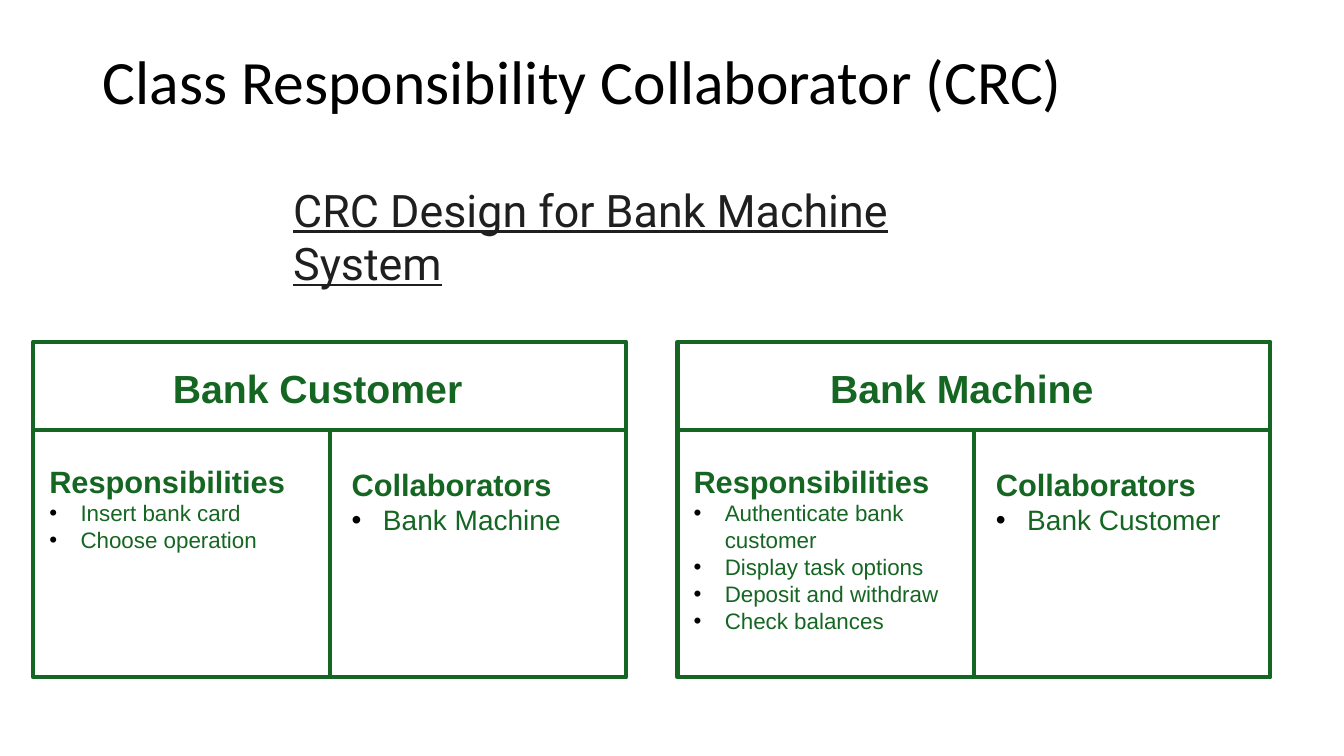
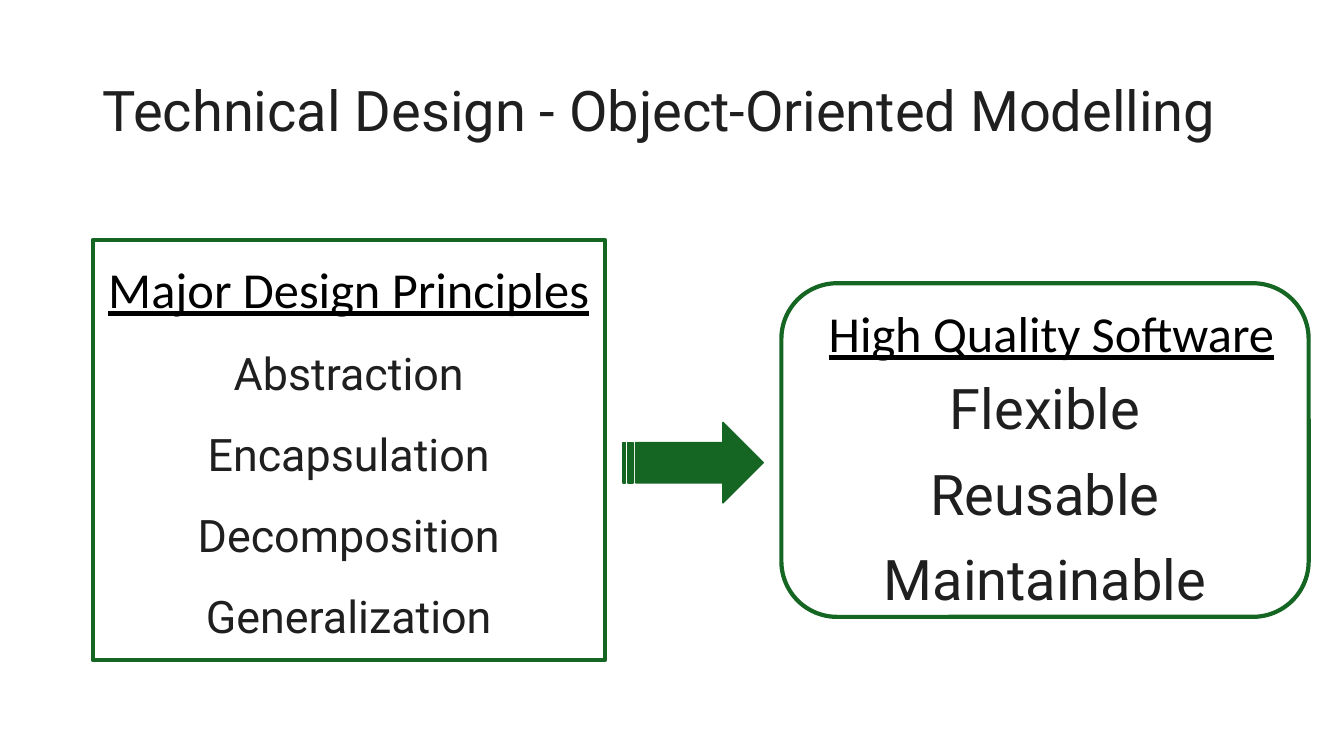
from collections import namedtuple
from lxml.etree import SubElement
from pptx import Presentation
from pptx.dml.color import RGBColor
from pptx.enum.shapes import MSO_CONNECTOR, MSO_SHAPE
from pptx.enum.text import MSO_ANCHOR, PP_ALIGN
from pptx.oxml.ns import qn
from pptx.util import Inches, Pt

Style = namedtuple(
    "Style",
    "face size color bold line align before spacing bullet",
    defaults=(False, False, PP_ALIGN.LEFT, 0, 1, False),
)


class Theme:
    green = RGBColor(0x16, 0x66, 0x23)
    black = RGBColor(0, 0, 0)
    ink = RGBColor(0x1F, 0x1F, 0x1F)
    stroke = Pt(3)
    mid = PP_ALIGN.CENTER
    title = Style("Calibri", 44, black, spacing=0.9)
    topic = Style("Roboto", 40, ink, spacing=0.9)
    sub = Style("Roboto", 32, ink, line=True)
    name = Style("Arial", 28, green, bold=True, align=mid)
    head = Style("Arial", 22, green, bold=True)
    duty = Style("Arial", 16, green, bullet=True)
    peer = Style("Arial", 20, green, bullet=True)
    label = Style("Calibri", 36, black, line=True)
    point = Style("Roboto", 32, ink, align=mid, before=19.5)
    goal = Style("Roboto", 40, ink, align=mid, before=13)


def write(shape, rows, anchor=MSO_ANCHOR.TOP):
    frame = shape.text_frame
    frame.word_wrap = True
    frame.vertical_anchor = anchor
    for i, (text, style) in enumerate(rows):
        para = frame.add_paragraph() if i else frame.paragraphs[0]
        para.text = text
        if style.bullet:
            props = para._p.get_or_add_pPr()
            props.set("marL", str(Inches(0.31)))
            props.set("indent", str(-Inches(0.31)))
            tint = SubElement(props, qn("a:buClr"))
            SubElement(tint, qn("a:srgbClr"), val=str(Theme.black))
            SubElement(props, qn("a:buFont"), typeface="Arial")
            SubElement(props, qn("a:buChar"), char="•")
        para.alignment = style.align
        para.line_spacing = style.spacing
        if i and style.before:
            para.space_before = Pt(style.before)
        font = para.font
        font.name = style.face
        font.size = Pt(style.size)
        font.color.rgb = style.color
        font.bold = style.bold
        font.underline = style.line


def draw(slide, kind, *spot):
    shape = slide.shapes.add_shape(kind, *map(Inches, spot))
    shape.shadow.inherit = False
    shape.fill.background()
    shape.line.color.rgb = Theme.green
    shape.line.width = Theme.stroke
    return shape


deck = Presentation()
deck.slide_width = Inches(13.33)
deck.slide_height = Inches(7.5)
blank = deck.slide_layouts[6]
cards, model = [deck.slides.add_slide(blank) for _ in range(2)]

titles = [
    (cards, 0.88, "Class Responsibility Collaborator (CRC)", Theme.title),
    (model, 1.45, "Technical Design - Object-Oriented Modelling", Theme.topic),
]
for slide, height, text, style in titles:
    box = slide.shapes.add_textbox(
        Inches(0.92), Inches(0.4), Inches(11.5), Inches(height)
    )
    write(box, [(text, style)], MSO_ANCHOR.MIDDLE)

box = cards.shapes.add_textbox(Inches(2.81), Inches(1.76), Inches(7.36), Inches(0.64))
write(box, [("CRC Design for Bank Machine System", Theme.sub)])

roles = [
    ("Bank Customer", ["Insert bank card", "Choose operation"], "Bank Machine"),
    (
        "Bank Machine",
        [
            "Authenticate bank customer",
            "Display task options",
            "Deposit and withdraw",
            "Check balances",
        ],
        "Bank Customer",
    ),
]
top, width, height, pitch = 3.39, 5.88, 3.33, 6.39
rule, base = top + 0.88, top + height
for i, (name, duties, peer) in enumerate(roles):
    left = 0.33 + i * pitch
    middle, right = left + width / 2, left + width
    draw(cards, MSO_SHAPE.RECTANGLE, left, top, width, height)
    for ends in [(left, rule, right, rule), (middle, rule, middle, base)]:
        line = cards.shapes.add_connector(MSO_CONNECTOR.STRAIGHT, *map(Inches, ends))
        line.line.color.rgb = Theme.green
        line.line.width = Theme.stroke
        SubElement(line._element.spPr, qn("a:effectLst"))
    texts = [
        (0.34, 3.57, 4.96, 0.57, [(name, Theme.name)]),
        (
            0.06, 4.54, 2.82, 1.82,
            [("Responsibilities", Theme.head)] + [(duty, Theme.duty) for duty in duties],
        ),
        (
            3.06, 4.57, 2.82, 0.81,
            [("Collaborators", Theme.head), (peer, Theme.peer)],
        ),
    ]
    for x, y, w, h, rows in texts:
        box = cards.shapes.add_textbox(Inches(left + x), Inches(y), Inches(w), Inches(h))
        write(box, rows)

points = ["Abstraction", "Encapsulation", "Decomposition", "Generalization"]
panel = draw(model, MSO_SHAPE.RECTANGLE, 0.92, 2.38, 5.08, 4.17)
write(
    panel,
    [("Major Design Principles", Theme.label._replace(align=Theme.mid))]
    + [(point, Theme.point) for point in points],
    MSO_ANCHOR.MIDDLE,
)

draw(model, MSO_SHAPE.ROUNDED_RECTANGLE, 7.75, 2.81, 5.23, 3.31)
goals = ["Flexible", "Reusable", "Maintainable"]
box = model.shapes.add_textbox(Inches(8), Inches(3.66), Inches(4.73), Inches(2.65))
write(box, [(goal, Theme.goal) for goal in goals])

arrow = draw(model, MSO_SHAPE.STRIPED_RIGHT_ARROW, 6.18, 4.19, 1.39, 0.8)
arrow.fill.solid()
arrow.fill.fore_color.rgb = Theme.green
arrow.line.width = Pt(1)

box = model.shapes.add_textbox(Inches(8.12), Inches(2.95), Inches(4.86), Inches(0.71))
write(box, [("High Quality Software", Theme.label)])

deck.save("out.pptx")
